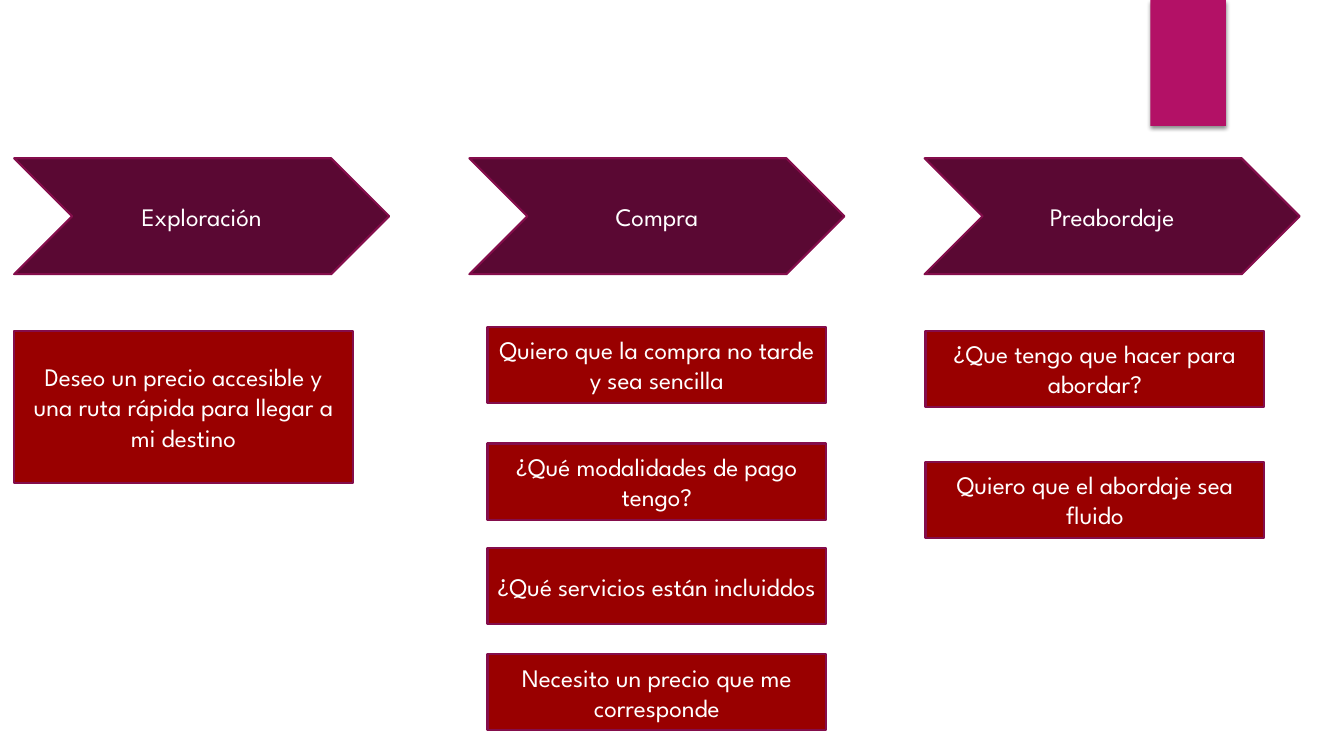
"""Builds a slide of three journey stages with the traveller's needs below each."""
import dataclasses

import lxml.etree
import pptx
import pptx.dml.color
import pptx.enum.shapes
import pptx.enum.text
import pptx.oxml
import pptx.oxml.ns
import pptx.util

KIND = pptx.enum.shapes.MSO_SHAPE


@dataclasses.dataclass(frozen=True)
class Theme:
    font: str = "League Spartan"
    size: int = 18
    text: str = "FFFFFF"
    stage: str = "5A0833"
    need: str = "990000"
    edge: str = "840D4B"
    tab: str = "B31166"
    shade: str = "000000"
    stroke: float = 1.5


@dataclasses.dataclass(frozen=True)
class Grid:
    wide: float = 13.33
    high: float = 7.5
    left: float = 0.14
    pitch: float = 4.515
    stage_top: float = 1.57
    stage_wide: float = 3.72
    stage_high: float = 1.15
    need_wide: float = 3.36
    need_high: float = 0.755

    def col(self, index, shift=0):
        return self.left + index * self.pitch + shift


THEME = Theme()
GRID = Grid()

STAGES = [
    ("Exploración", 0, [
        (3.28, 2, "Deseo un precio accesible y una ruta rápida para llegar a mi destino"),
    ]),
    ("Compra", 0.18, [
        (3.24, 1, "Quiero que la compra no tarde y sea sencilla"),
        (4.4, 1, "¿Qué modalidades de pago tengo?"),
        (5.44, 1, "¿Qué servicios están incluiddos"),
        (6.49, 1, "Necesito un precio que me corresponde"),
    ]),
    ("Preabordaje", 0.01, [
        (3.28, 1, "¿Que tengo que hacer para abordar?"),
        (4.58, 1, "Quiero que el abordaje sea fluido"),
    ]),
]


def tint(code):
    return pptx.dml.color.RGBColor.from_string(code)


def write(frame, text, size=THEME.size, color=THEME.text, font=THEME.font,
          align=pptx.enum.text.PP_ALIGN.CENTER):
    frame.word_wrap = True
    frame.vertical_anchor = pptx.enum.text.MSO_ANCHOR.MIDDLE
    para = frame.paragraphs[0]
    para.alignment = align
    run = para.add_run()
    run.text = text
    run.font.name = font
    run.font.size = pptx.util.Pt(size)
    run.font.color.rgb = tint(color)


def block(slide, kind, box, fill, edge=None):
    shape = slide.shapes.add_shape(kind, *map(pptx.util.Inches, box))
    shape.shadow.inherit = False
    shape.fill.solid()
    shape.fill.fore_color.rgb = tint(fill)
    if edge:
        shape.line.color.rgb = tint(edge)
        shape.line.width = pptx.util.Pt(THEME.stroke)
    else:
        shape.line.fill.background()
    return shape


def label(slide, kind, box, fill, text):
    shape = block(slide, kind, box, fill, THEME.edge)
    write(shape.text_frame, text)


def shade(shape, blur, dist, alpha):
    name = pptx.oxml.ns.qn
    effects = shape.element.spPr.find(name("a:effectLst"))
    outer = lxml.etree.SubElement(
        effects, name("a:outerShdw"), blurRad=str(pptx.util.Pt(blur)),
        dist=str(pptx.util.Pt(dist)), dir=str(90 * 60000), rotWithShape="0")
    color = lxml.etree.SubElement(outer, name("a:srgbClr"), val=THEME.shade)
    lxml.etree.SubElement(color, name("a:alpha"), val=str(alpha * 1000))


def tab(slide):
    high = GRID.high / 6
    shape = block(slide, KIND.RECTANGLE, (11.41, 0, 0.75, high), THEME.tab)
    shade(shape, blur=3, dist=2, alpha=45)


def stage(slide, index, title, shift, needs):
    box = (GRID.col(index), GRID.stage_top, GRID.stage_wide, GRID.stage_high)
    label(slide, KIND.CHEVRON, box, THEME.stage, title)
    for top, rows, text in needs:
        box = (GRID.col(index, shift), top, GRID.need_wide, rows * GRID.need_high)
        label(slide, KIND.RECTANGLE, box, THEME.need, text)


def main():
    deck = pptx.Presentation()
    deck.slide_width = pptx.util.Inches(GRID.wide)
    deck.slide_height = pptx.util.Inches(GRID.high)
    slide = deck.slides.add_slide(deck.slide_layouts[6])
    tab(slide)
    for index, (title, shift, needs) in enumerate(STAGES):
        stage(slide, index, title, shift, needs)
    deck.save("out.pptx")


if __name__ == "__main__":
    main()
